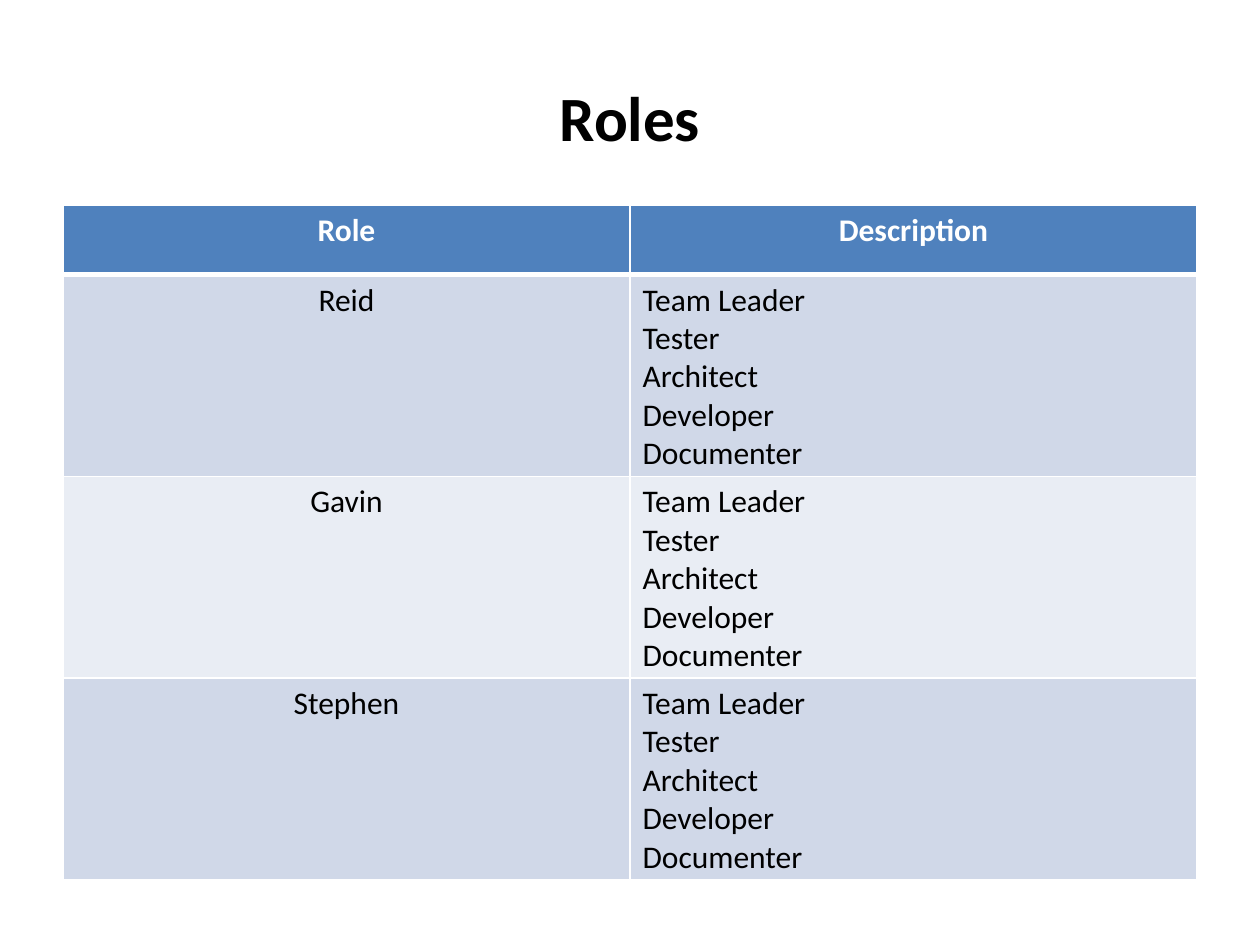
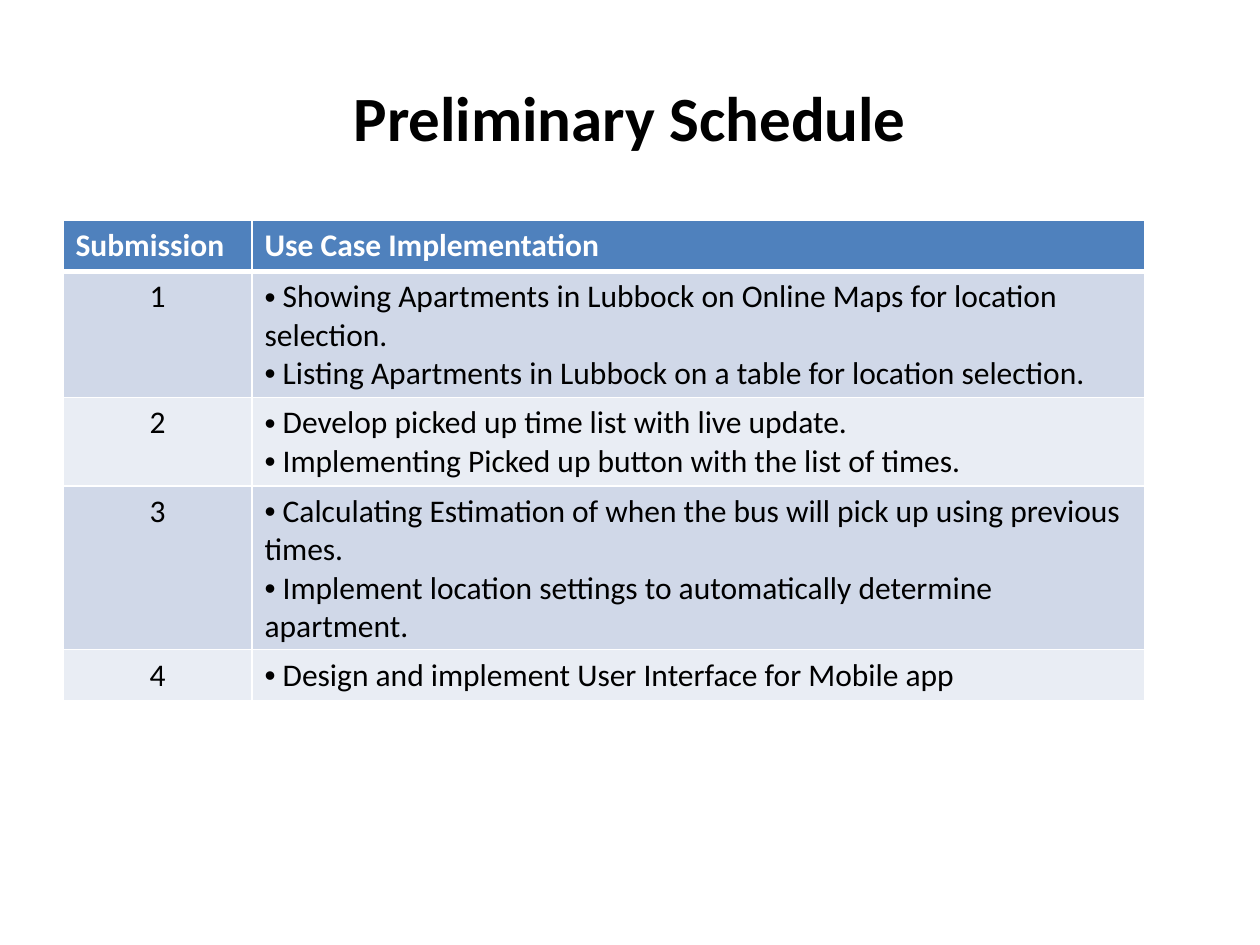
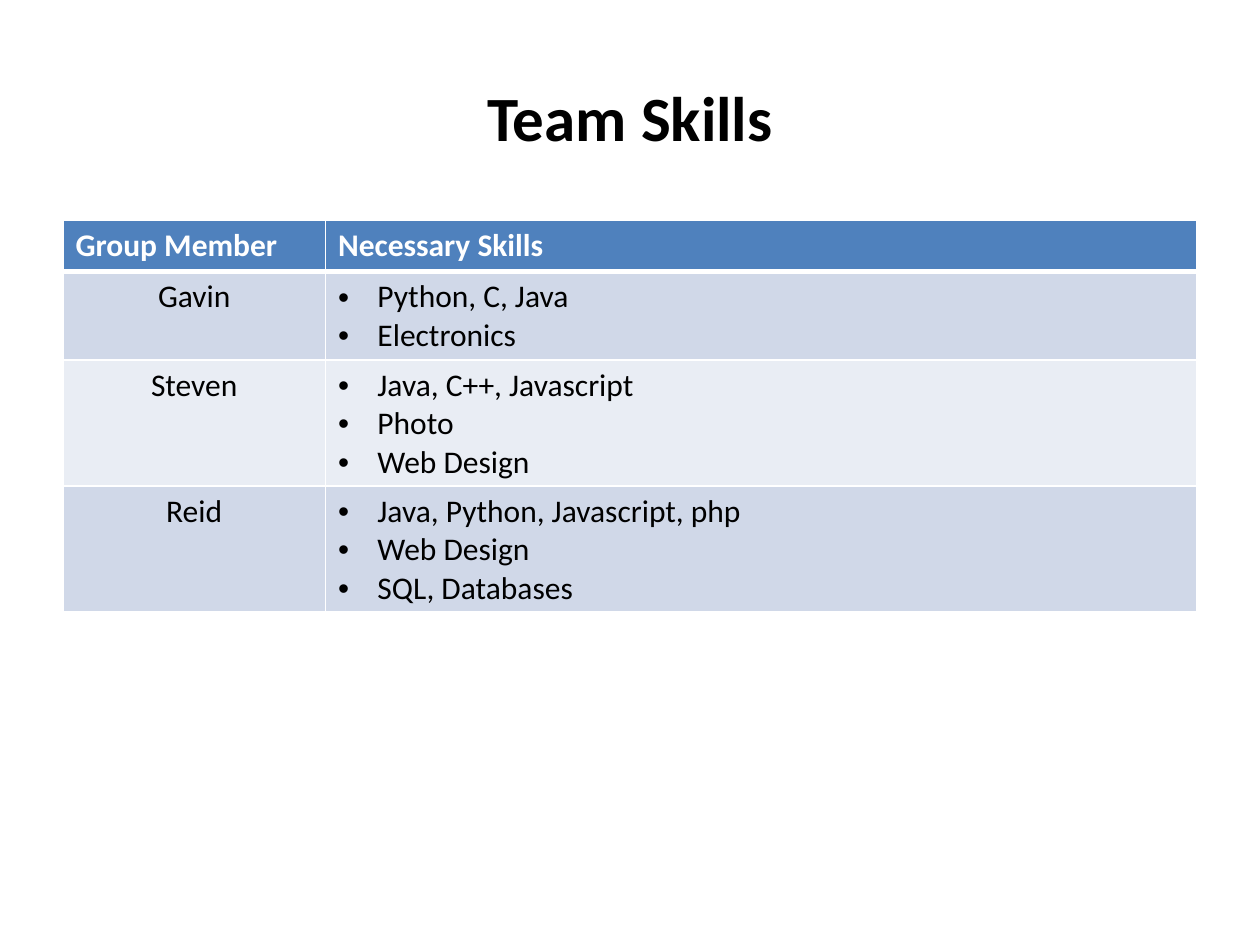
from dataclasses import dataclass
from typing import Any

from lxml import etree
from pptx import Presentation
from pptx.dml.color import RGBColor
from pptx.enum.text import MSO_ANCHOR, PP_ALIGN
from pptx.oxml.ns import qn
from pptx.slide import Slide
from pptx.util import Pt

LEFT, CENTER = PP_ALIGN.LEFT, PP_ALIGN.CENTER
MIDDLE = MSO_ANCHOR.MIDDLE

BLACK = RGBColor(0x00, 0x00, 0x00)
WHITE = RGBColor(0xFF, 0xFF, 0xFF)
HEADER_BLUE = RGBColor(0x4F, 0x81, 0xBD)
BANDS = (RGBColor(0xD0, 0xD8, 0xE8), RGBColor(0xE9, 0xED, 0xF4))

FONT = "Calibri"
TITLE_FORMAT = {"name": FONT, "size": Pt(36), "bold": True}
HEADER_FORMAT = {"name": FONT, "size": Pt(18), "bold": True}
BODY_FORMAT = {"name": FONT, "size": Pt(18), "bold": False}

MARGIN = Pt(36)
THIN, THICK = Pt(1), Pt(3)
DUTIES = ("Team Leader", "Tester", "Architect", "Developer", "Documenter")


@dataclass(frozen=True)
class TableSlide:
    title: str
    header: tuple[str, str]
    rows: tuple[tuple[str, tuple[str, ...]], ...]
    top: float
    height: float
    col_widths: tuple[float, float]
    header_height: float = 29.2
    row_height: float = 29.2
    header_align: Any = LEFT
    bulleted: bool = True
    indent: float = 0


SLIDES = (
    TableSlide(
        title="Roles",
        header=("Role", "Description"),
        rows=tuple((name, DUTIES) for name in ("Reid", "Gavin", "Stephen")),
        top=117,
        height=386,
        col_widths=(324, 324),
        header_height=40,
        row_height=87,
        header_align=CENTER,
        bulleted=False,
    ),
    TableSlide(
        title="Preliminary Schedule",
        header=("Submission", "Use Case Implementation"),
        rows=(
            ("1", (" Showing Apartments in Lubbock on Online Maps for location selection.",
                   " Listing Apartments in Lubbock on a table for location selection.")),
            ("2", (" Develop picked up time list with live update.",
                   " Implementing Picked up button with the list of times.")),
            ("3", (" Calculating Estimation of when the bus will pick up using previous times.",
                   " Implement location settings to automatically determine apartment.")),
            ("4", (" Design and implement User Interface for Mobile app",)),
        ),
        top=126,
        height=274,
        col_widths=(108, 510),
    ),
    TableSlide(
        title="Team Skills",
        header=("Group Member", "Necessary Skills"),
        rows=(
            ("Gavin", ("Python, C, Java", "Electronics")),
            ("Steven", ("Java, C++, Javascript", "Photo", "Web Design")),
            ("Reid", ("Java, Python, Javascript, php", "Web Design", "SQL, Databases")),
        ),
        top=126,
        height=224,
        col_widths=(150, 498),
        indent=22.5,
    ),
)


def write_lines(tf: Any, lines: tuple[str, ...], fmt: dict[str, Any],
                color: RGBColor, align: Any) -> None:
    for i, line in enumerate(lines):
        p = tf.paragraphs[0] if i == 0 else tf.add_paragraph()
        p.alignment = align
        r = p.add_run()
        r.text = line
        for key, value in fmt.items():
            setattr(r.font, key, value)
        r.font.color.rgb = color


def add_bullets(tf: Any, indent: float) -> None:
    for p in tf.paragraphs:
        pPr = p._p.get_or_add_pPr()
        pPr.set("marL", str(Pt(indent)))
        pPr.set("indent", str(-Pt(indent)))
        etree.SubElement(pPr, qn("a:buFont"), typeface="Arial")
        etree.SubElement(pPr, qn("a:buChar"), char="•")


def style_cell(cell: Any, fill: RGBColor, top: int, bottom: int) -> None:
    tcPr = cell._tc.get_or_add_tcPr()
    for side, width in (("L", THIN), ("R", THIN), ("T", top), ("B", bottom)):
        ln = etree.SubElement(tcPr, qn(f"a:ln{side}"), w=str(width))
        solid = etree.SubElement(ln, qn("a:solidFill"))
        etree.SubElement(solid, qn("a:srgbClr"), val=str(WHITE))
    cell.fill.solid()
    cell.fill.fore_color.rgb = fill


def add_title(s: Slide, text: str) -> None:
    tf = s.shapes.add_textbox(MARGIN, Pt(21.6), Pt(648), Pt(90)).text_frame
    tf.word_wrap = True
    tf.vertical_anchor = MIDDLE
    write_lines(tf, (text,), TITLE_FORMAT, BLACK, CENTER)


def add_banded_table(s: Slide, spec: TableSlide) -> None:
    sp = s.shapes.add_table(len(spec.rows) + 1, 2, MARGIN, Pt(spec.top),
                            Pt(sum(spec.col_widths)), Pt(spec.height))
    table = sp.table
    for column, width in zip(table.columns, spec.col_widths):
        column.width = Pt(width)
    for i, row in enumerate(table.rows):
        row.height = Pt(spec.row_height if i else spec.header_height)
    sp.height = Pt(spec.height)

    for j, label in enumerate(spec.header):
        cell = table.cell(0, j)
        style_cell(cell, HEADER_BLUE, THIN, THICK)
        write_lines(cell.text_frame, (label,), HEADER_FORMAT, WHITE, spec.header_align)

    for i, (name, items) in enumerate(spec.rows):
        for j, (lines, align) in enumerate((((name,), CENTER), (items, LEFT))):
            cell = table.cell(i + 1, j)
            style_cell(cell, BANDS[i % 2], THIN if i else THICK, THIN)
            write_lines(cell.text_frame, lines, BODY_FORMAT, BLACK, align)
        if spec.bulleted:
            add_bullets(table.cell(i + 1, 1).text_frame, spec.indent)


def main() -> None:
    prs = Presentation()
    prs.slide_width, prs.slide_height = Pt(720), Pt(540)
    for spec in SLIDES:
        s = prs.slides.add_slide(prs.slide_layouts[6])
        add_title(s, spec.title)
        add_banded_table(s, spec)
    prs.save("out.pptx")


if __name__ == "__main__":
    main()
